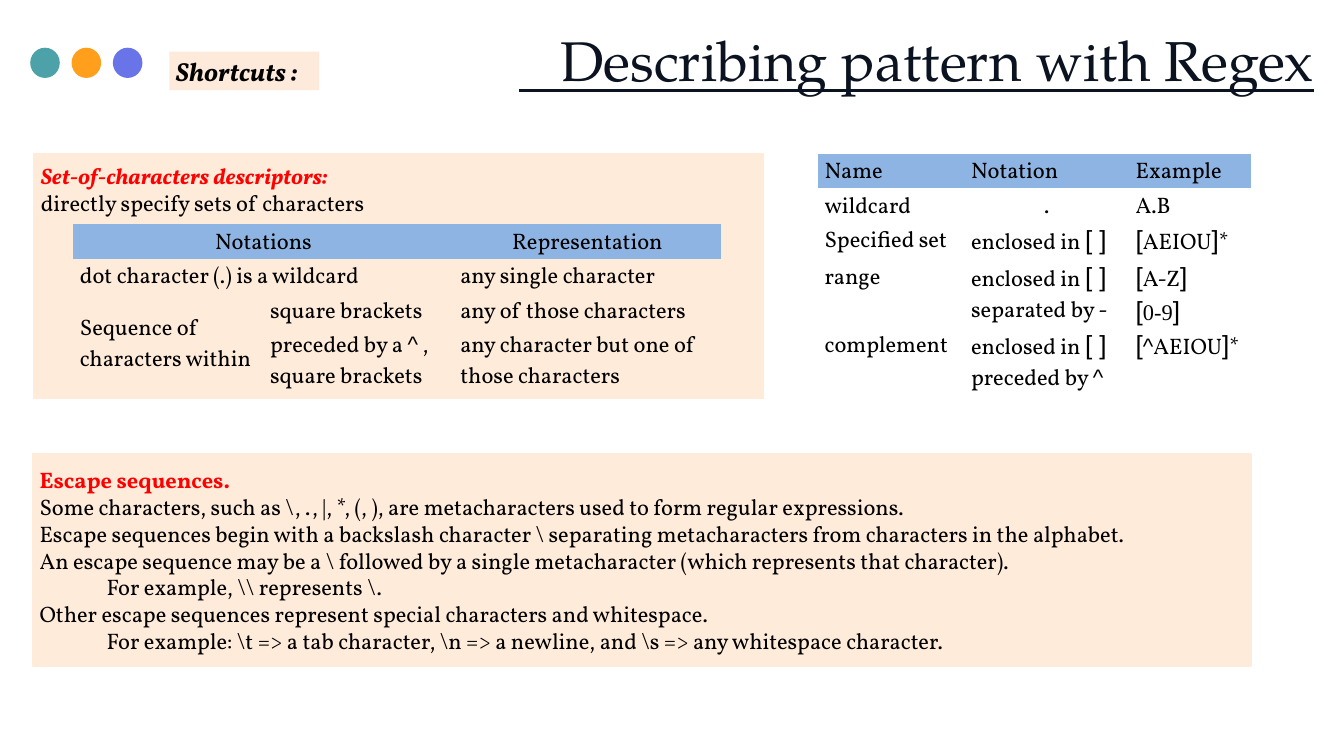
from pptx import Presentation
from pptx.dml.color import RGBColor
from pptx.enum.shapes import MSO_CONNECTOR as Link, MSO_SHAPE as Preset
from pptx.enum.text import MSO_ANCHOR as Anchor, MSO_AUTO_SIZE as Fit, PP_ALIGN as Align
from pptx.util import Inches, Pt
from lxml.etree import SubElement
from pptx.oxml.ns import qn

hex_color = RGBColor.from_string
INK, BLACK, RED = "0B1320", "000000", "FF0000"
PEACH, PALE_PEACH, HEADER_BLUE = "FEEBDA", "FDEADA", "8EB4E3"
NO_GRID = "{2D5ABB26-0587-4C30-8999-92F81FD0307C}"

FORMATS = {
    "title": (INK, dict(name="TeX Gyre Pagella", size=Pt(60), bold=False)),
    "tag": (BLACK, dict(name="Vollkorn", size=Pt(28), bold=True, italic=True)),
    "slanted": (RED, dict(name="Vollkorn", size=Pt(24), bold=True, italic=True)),
    "heading": (RED, dict(name="Vollkorn", size=Pt(24), bold=True)),
    "body": (BLACK, dict(name="Vollkorn", size=Pt(24), bold=False)),
    "caret": (BLACK, dict(name="Arial", size=Pt(24), bold=False)),
    "bracket": (BLACK, dict(name="Arial", size=Pt(28), bold=False)),
    "digits": (BLACK, dict(name="Times New Roman", size=Pt(24), bold=False)),
}

deck = Presentation()
deck.slide_width, deck.slide_height = Inches(20), Inches(11.25)
column, row = deck.slide_width / 200, deck.slide_height / 112.5
slide = deck.slides.add_slide(deck.slide_layouts[5])


def grid(left, top, width, height):
    return [round(n * unit) for n, unit in zip((left, top, width, height), (column, row) * 2)]


def write(frame, lines, align=Align.LEFT, spacing=1.0):
    frame.word_wrap = True
    for number, line in enumerate(lines):
        paragraph = frame.add_paragraph() if number else frame.paragraphs[0]
        paragraph.alignment, paragraph.line_spacing = align, spacing
        for words, style in [(line, "body")] if isinstance(line, str) else line:
            run = paragraph.add_run()
            run.text = words
            color, values = FORMATS[style]
            for attribute, value in values.items():
                setattr(run.font, attribute, value)
            run.font.color.rgb = hex_color(color)


title = slide.shapes.title
title.left, title.top, title.width, title.height = grid(50.5, 1.75, 145, 12.1)
heading = title.text_frame
for side in ("left", "top", "right", "bottom"):
    setattr(heading, f"margin_{side}", 0)
heading.vertical_anchor, heading.auto_size = Anchor.TOP, Fit.NONE
write(heading, [[("Describing pattern with Regex", "title")]], Align.RIGHT, 1.2)

underline = slide.shapes.add_connector(Link.STRAIGHT, *grid(77.2, 13.44, 195.5, 13.44))
underline.line.color.rgb, underline.line.width = hex_color(INK), Pt(3)
SubElement(underline._element.spPr, qn("a:effectLst"))

for place, color in enumerate(("4DA1A9", "FF9F1C", "6874E8")):
    dot = slide.shapes.add_shape(Preset.OVAL, *grid(4.5 + 6.15 * place, 7.1, 4.4, 4.5))
    dot.shadow.inherit = False
    dot.fill.solid()
    dot.fill.fore_color.rgb = hex_color(color)
    dot.line.fill.background()

escapes = [
    [("Escape sequences.", "heading")],
    r"Some characters, such as \, ., |, *, (, ), are metacharacters used to form regular expressions.",
    r"Escape sequences begin with a backslash character \ separating metacharacters from characters in the alphabet.",
    r"An escape sequence may be a \ followed by a single metacharacter (which represents that character).",
    r"For example, \\ represents \.",
    "Other escape sequences represent special characters and whitespace.",
    r"For example: \t => a tab character, \n => a newline, and \s => any whitespace character.",
]
descriptors = [[("Set-of-characters descriptors:", "slanted")],
               "directly specify sets of characters"]
panels = [
    ((25.2, 7.7, 22.3, 5.7), PALE_PEACH, Anchor.TOP, [[("Shortcuts :", "tag")]]),
    ((5.1, 22.9, 108.4, 10.5), PEACH, Anchor.MIDDLE, descriptors),
    ((4.9, 67.6, 181.3, 31.5), PEACH, Anchor.MIDDLE, escapes),
    ((5.1, 33.4, 108.4, 25.9), PEACH, Anchor.MIDDLE, []),
]
for area, color, anchor, lines in panels:
    panel = slide.shapes.add_shape(Preset.RECTANGLE, *grid(*area))
    panel.shadow.inherit = False
    panel.fill.solid()
    panel.fill.fore_color.rgb = hex_color(color)
    if color == PEACH:
        panel.line.color.rgb, panel.line.width = hex_color(PEACH), Pt(2)
    else:
        panel.line.fill.background()
    panel.text_frame.vertical_anchor = anchor
    write(panel.text_frame, lines)
    for paragraph in panel.text_frame.paragraphs:
        if paragraph.text.startswith("For example"):
            paragraph._p.get_or_add_pPr().set("marL", str(Inches(1)))

opening, closing, pair = ("[", "bracket"), ("]", "bracket"), ("[ ]", "bracket")
caret, star, vowels = ("^", "caret"), ("*", "body"), ("AEIOU", "body")
enclosed = [("enclosed in ", "body"), pair]

notations = [
    [["Notations"], None, ["Representation"]],
    [["dot character (.) is a wildcard"], None, ["any single character"]],
    [["Sequence of characters within"], ["square brackets"], ["any of those characters"]],
    [None, [[("preceded by a ", "body"), caret, (" , square brackets", "body")]],
     ["any character but one of those characters"]],
]
examples = [
    [["Name"], ["Notation"], ["Example"]],
    [["wildcard"], ["."], ["A.B"]],
    [["Specified set"], [enclosed], [[opening, vowels, closing, star]]],
    [["range"], [enclosed, "separated by -"],
     [[opening, ("A-Z", "body"), closing], [opening, ("0-9", "digits"), closing]]],
    [["complement"], [enclosed, [("preceded by ", "body"), caret]],
     [[opening, caret, vowels, closing, star]]],
]
tables = [
    (10.9, 33.4, (28.3, 28.3, 39.8), notations, Anchor.MIDDLE, Align.CENTER,
     [(0, 0, 0, 1), (1, 0, 1, 1), (2, 0, 3, 0)]),
    (121.7, 22.9, (21.8, 24.5, 18.2), examples, Anchor.TOP, Align.LEFT, []),
]
for left, top, widths, content, anchor, header_align, merges in tables:
    area = grid(left, top, sum(widths), 4.1 * len(content))
    table = slide.shapes.add_table(len(content), len(widths), *area).table
    table.first_row = table.horz_banding = False
    table._tbl.tblPr.find(qn("a:tableStyleId")).text = NO_GRID
    for table_column, width in zip(table.columns, widths):
        table_column.width = round(width * column)
    for top_row, first, bottom_row, last in merges:
        table.cell(top_row, first).merge(table.cell(bottom_row, last))
    for r, entries in enumerate(content):
        for c, lines in enumerate(entries):
            cell = table.cell(r, c)
            cell.margin_bottom = 0
            cell.fill.background()
            if r == 0:
                cell.fill.solid()
                cell.fill.fore_color.rgb = hex_color(HEADER_BLUE)
            if lines:
                cell.vertical_anchor = anchor if r else Anchor.TOP
                align = Align.CENTER if lines == ["."] else Align.LEFT
                write(cell.text_frame, lines, align if r else header_align)

deck.save("out.pptx")
